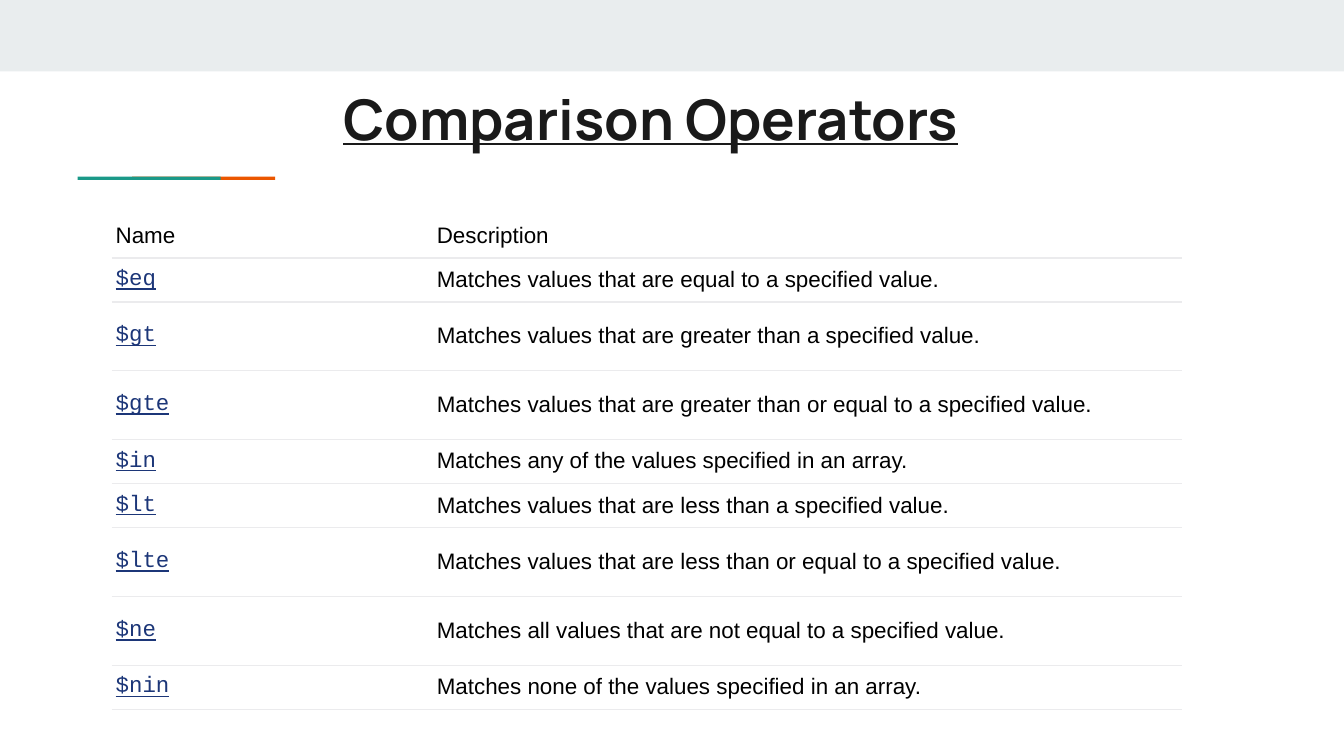
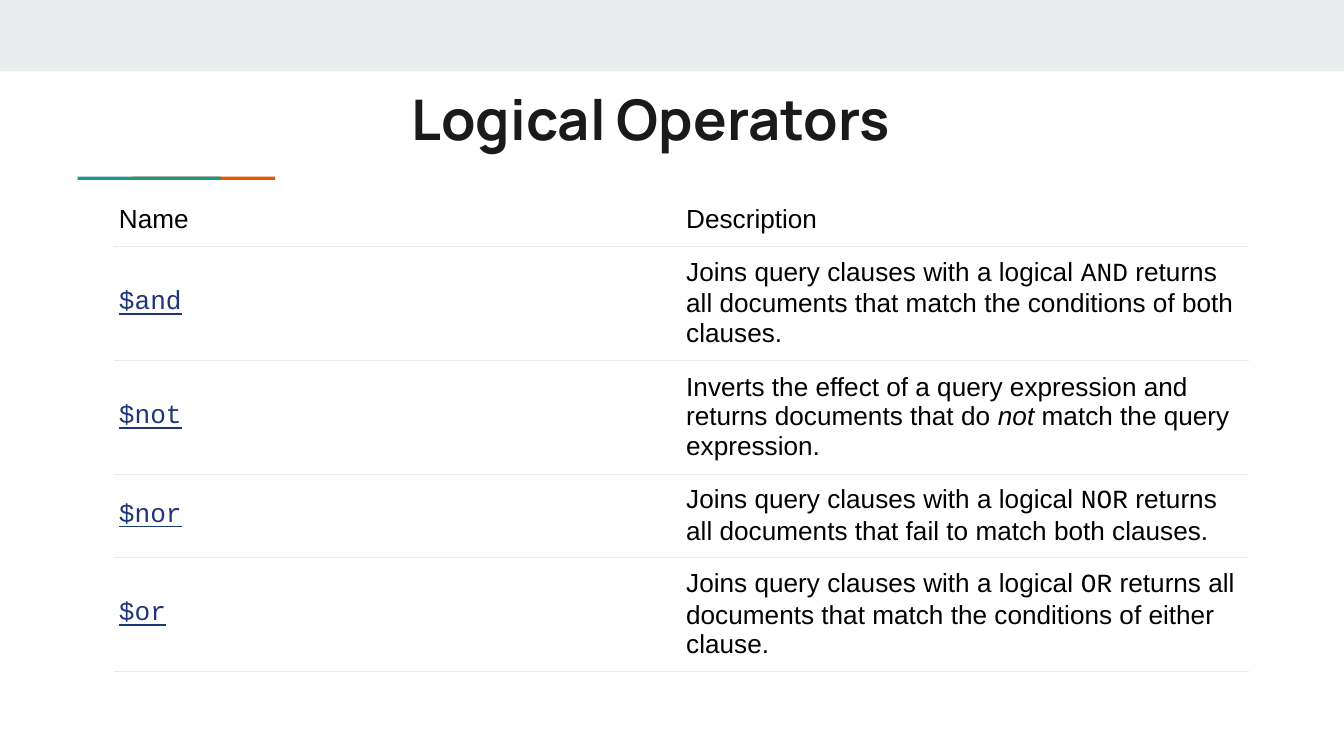
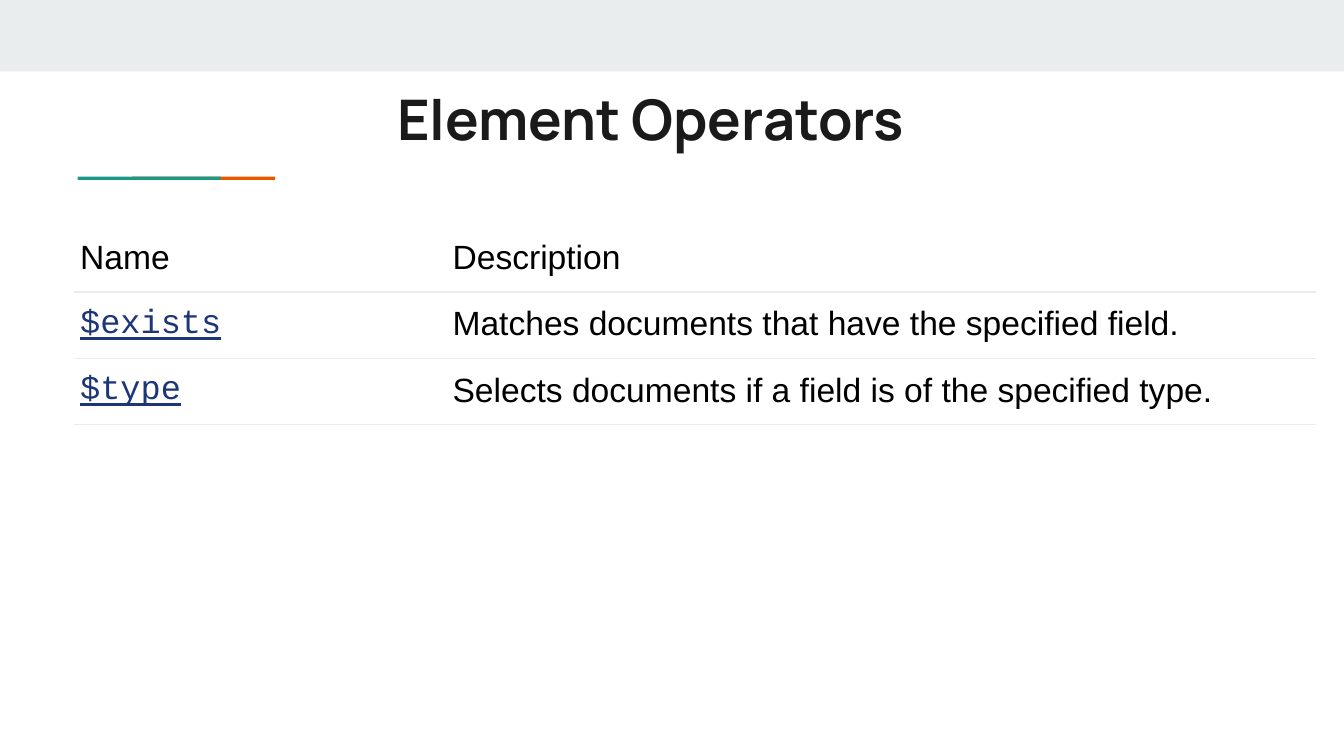
import pptx
import pptx.dml.color
import pptx.enum.shapes
import pptx.enum.text
import pptx.oxml
import pptx.oxml.ns
import pptx.util
from pptx.util import Cm

COLORS = {
    "band": "E9EDEE", "green": "1A9988", "orange": "EB5600", "title": "1A1A1A",
    "text": "000000", "operator": "1C3678", "rule": "EBEBED", "cell": "FFFFFF",
}
TITLE_FONT, BODY_FONT, CODE_FONT = "Manrope", "Arial", "Courier New"
NO_STYLE = "{2D5ABB26-0587-4C30-8999-92F81FD0307C}"
CM_PER_PT = 2.54 / 72

COMPARISON = [
    ("$eq", "Matches values that are equal to a specified value."),
    ("$gt", "Matches values that are greater than a specified value."),
    ("$gte", "Matches values that are greater than or equal to a specified value."),
    ("$in", "Matches any of the values specified in an array."),
    ("$lt", "Matches values that are less than a specified value."),
    ("$lte", "Matches values that are less than or equal to a specified value."),
    ("$ne", "Matches all values that are not equal to a specified value."),
    ("$nin", "Matches none of the values specified in an array."),
]
CODE, ITALIC = {"font": CODE_FONT}, {"italic": True}
LOGICAL = [
    ("$and", [("Joins query clauses with a logical ", {}), ("AND", CODE),
              (" returns all documents that match the conditions of both clauses.", {})]),
    ("$not", [("Inverts the effect of a query expression and returns documents that do ", {}),
              ("not", ITALIC), (" match the query expression.", {})]),
    ("$nor", [("Joins query clauses with a logical ", {}), ("NOR", CODE),
              (" returns all documents that fail to match both clauses.", {})]),
    ("$or", [("Joins query clauses with a logical ", {}), ("OR", CODE),
             (" returns all documents that match the conditions of either clause.", {})]),
]
ELEMENT = [
    ("$exists", "Matches documents that have the specified field."),
    ("$type", "Selects documents if a field is of the specified type."),
]


def rgb(name):
    return pptx.dml.color.RGBColor.from_string(COLORS[name])


class Deck:
    """Holds the shared style and the slide being drawn."""

    def __init__(self):
        self.prs = pptx.Presentation()
        self.prs.slide_width, self.prs.slide_height = Cm(25.4), Cm(14.29)
        self.s = None

    def slide(self, title, underline=False):
        self.s = self.prs.slides.add_slide(self.prs.slide_layouts[6])
        self.bar(0, 0, 25.4, 1.35, "band")
        self.bar(2.5, 3.34, 2.7, 0.06, "orange")
        self.bar(1.47, 3.34, 2.7, 0.06, "green")
        self.title(title, underline)

    def bar(self, x, y, w, h, color):
        sp = self.s.shapes.add_shape(pptx.enum.shapes.MSO_SHAPE.RECTANGLE,
                                     Cm(x), Cm(y), Cm(w), Cm(h))
        sp.shadow.inherit = False
        sp.fill.solid()
        sp.fill.fore_color.rgb = rgb(color)
        sp.line.fill.background()

    def title(self, text, underline):
        tf = self.s.shapes.add_textbox(Cm(0.69), Cm(1.35), Cm(23.22), Cm(1.47)).text_frame
        tf.word_wrap = True
        tf.margin_left = tf.margin_right = tf.margin_top = tf.margin_bottom = Cm(0.25)
        p = tf.paragraphs[0]
        p.alignment = pptx.enum.text.PP_ALIGN.CENTER
        self.run(p, text, 30, TITLE_FONT, "title", bold=True, underline=underline)

    def run(self, p, text, size, font=BODY_FONT, color="text",
            bold=False, italic=False, underline=False):
        r = p.add_run()
        r.text = text
        f = r.font
        f.name, f.size, f.color.rgb = font, pptx.util.Pt(size), rgb(color)
        f.bold, f.italic, f.underline = bold, italic, underline

    def table(self, x, y, col_widths, row_heights, size, rows):
        """Draw a header and one row per operator; cell margins follow the text size."""
        frame = self.s.shapes.add_table(len(rows) + 1, 2, Cm(x), Cm(y),
                                        Cm(sum(col_widths)), Cm(sum(row_heights)))
        tbl = frame.table
        tbl.first_row = tbl.horz_banding = False
        tbl._tbl.tblPr.find(pptx.oxml.ns.qn("a:tableStyleId")).text = NO_STYLE
        for col, width in zip(tbl.columns, col_widths):
            col.width = Cm(width)
        for row, height in zip(tbl.rows, row_heights):
            row.height = Cm(height)
        for i, label in enumerate(("Name", "Description")):
            self.cell(tbl.cell(0, i), [(label, {})], size, header=True)
        operator = {"font": CODE_FONT, "color": "operator", "underline": True}
        for i, (name, description) in enumerate(rows, 1):
            runs = [(description, {})] if isinstance(description, str) else description
            self.cell(tbl.cell(i, 0), [(name, operator)], size)
            self.cell(tbl.cell(i, 1), runs, size)

    def cell(self, cell, runs, size, header=False):
        em = size * CM_PER_PT
        cell.margin_left = cell.margin_right = Cm(0.18 * em)
        cell.margin_top = Cm((0.2 if header else 0.36) * em)
        cell.margin_bottom = Cm(0.41 * em)
        cell.vertical_anchor = pptx.enum.text.MSO_ANCHOR.MIDDLE
        for side in ("B",) if header else ("T", "B"):
            self.rule(cell, side)
        cell.fill.solid()
        cell.fill.fore_color.rgb = rgb("cell")
        for text, style in runs:
            self.run(cell.text_frame.paragraphs[0], text, size, **style)

    def rule(self, cell, side):
        """Add a border line to one side of a cell."""
        cell._tc.get_or_add_tcPr().append(pptx.oxml.parse_xml(
            f'<a:ln{side} {pptx.oxml.ns.nsdecls("a")} w="{pptx.util.Pt(0.75)}"><a:solidFill>'
            f'<a:srgbClr val="{COLORS["rule"]}"/></a:solidFill></a:ln{side}>'))


def main():
    deck = Deck()
    low, high = 0.81, 1.3
    deck.slide("Comparison Operators", underline=True)
    deck.table(2.11, 4.11, (6.07, 14.15),
               [0.74] + [low, high, high, low] * 2, 12, COMPARISON)
    deck.slide("Logical Operators")
    deck.table(2.16, 3.76, (10.72, 10.72), [0.58] + [1.42] * 4, 14, LOGICAL)
    deck.slide("Element Operators")
    deck.table(1.4, 4.37, (7.04, 16.43), [0.64] * 3, 18, ELEMENT)
    deck.prs.save("out.pptx")


if __name__ == "__main__":
    main()
